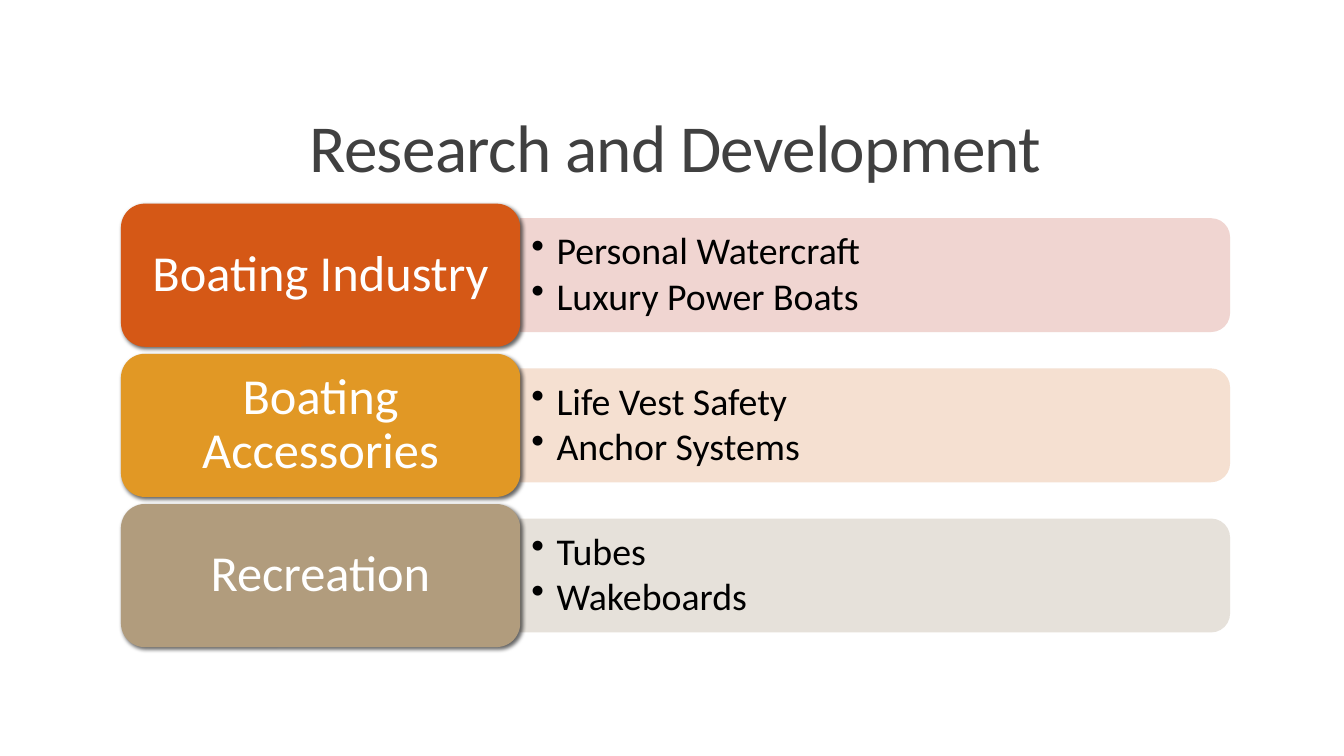
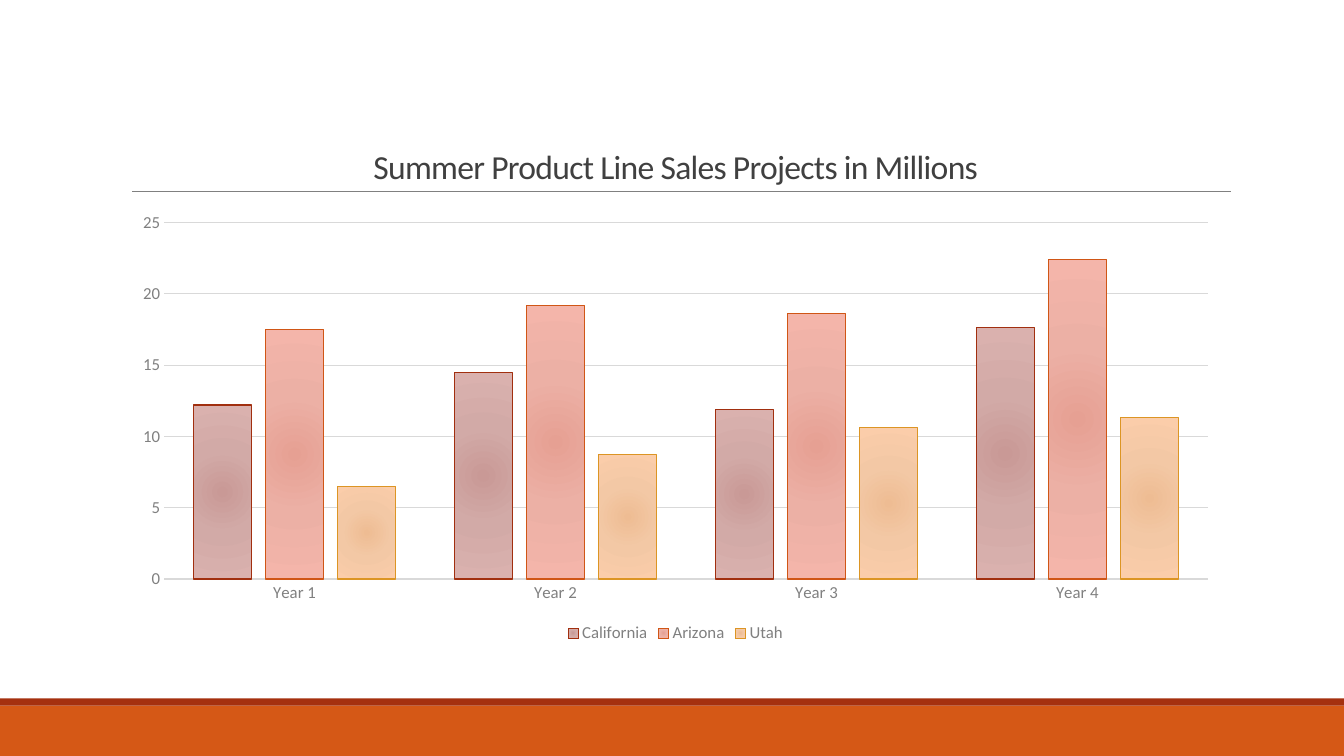
from dataclasses import dataclass

from lxml import etree
from pptx import Presentation
from pptx.chart import data as chart_data
from pptx.dml.color import RGBColor
from pptx.enum import chart as charts, shapes, text
from pptx.oxml import ns, parse_xml
from pptx.util import Inches, Pt

FONT = "Calibri"
ORANGE, RUST, GREY, PALE_GREY = "D55816", "A5300F", "808080", "D9D9D9"
WHITE, BLACK, TITLE_INK = "FFFFFF", "000000", "404040"
LEFT, WIDTH, CONTENT_TOP, CONTENT_HEIGHT = 1.2, 11, 2.02, 4.4
LABEL_WIDTH, LABEL_HEIGHT, ROW_PITCH = 3.96, 1.42, 1.49
BAND_WIDTH, BAND_HEIGHT = 7.04, 1.13


@dataclass(frozen=True)
class Topic:
    label: str
    items: tuple[str, ...]
    color: str
    tint: str


@dataclass(frozen=True)
class Region:
    name: str
    sales: tuple[float, ...]
    stops: tuple[str, str, str]
    outline: str


TOPICS = (
    Topic("Boating Industry", ("Personal Watercraft", "Luxury Power Boats"), ORANGE, "EFD1CC"),
    Topic("Boating Accessories", ("Life Vest Safety", "Anchor Systems"), "E19825", "F4DDCD"),
    Topic("Recreation", ("Tubes", "Wakeboards"), "B19C7D", "E4DED7"),
)
YEARS = ("Year 1", "Year 2", "Year 3", "Year 4")
REGIONS = (
    Region("California", (12.2, 14.5, 11.9, 17.6), ("C99996", "D2AAA7", "DAB1AE"), "A12F0F"),
    Region("Arizona", (17.5, 19.2, 18.6, 22.4), ("E6A093", "ECB0A5", "F4B5AA"), "D05616"),
    Region("Utah", (6.5, 8.7, 10.6, 11.3), ("EEBC93", "F3C8A5", "FBCDAA"), "DC9524"),
)


def rgb(value: str) -> RGBColor:
    return RGBColor.from_string(value)


def style_font(font, size: float, color: str) -> None:
    font.name, font.size = FONT, Pt(size)
    font.color.rgb = rgb(color)


def style_line(line, color: str, width: float) -> None:
    line.color.rgb = rgb(color)
    line.width = Pt(width)


def add_run(paragraph, words: str, size: float, color: str):
    run = paragraph.add_run()
    run.text = words
    style_font(run.font, size, color)
    return run


def set_frame(frame, anchor, inset_x: float, inset_y: float) -> None:
    frame.word_wrap = True
    frame.auto_size = text.MSO_AUTO_SIZE.NONE
    frame.vertical_anchor = anchor
    frame.margin_left = frame.margin_right = Inches(inset_x)
    frame.margin_top = frame.margin_bottom = Inches(inset_y)


def add_block(slide, kind, left: float, top: float, width: float, height: float, color: str):
    block = slide.shapes.add_shape(kind, Inches(left), Inches(top), Inches(width), Inches(height))
    block.shadow.inherit = False
    block.fill.solid()
    block.fill.fore_color.rgb = rgb(color)
    block.line.fill.background()
    return block


def add_titled_slide(deck, words: str, size: float):
    slide = deck.slides.add_slide(deck.slide_layouts[5])
    title = slide.shapes.title
    title.left, title.top = Inches(LEFT), Inches(0.31)
    title.width, title.height = Inches(WIDTH), Inches(1.59)
    set_frame(title.text_frame, text.MSO_ANCHOR.BOTTOM, 0.1, 0.05)
    paragraph = title.text_frame.paragraphs[0]
    paragraph.alignment = text.PP_ALIGN.CENTER
    paragraph.line_spacing = 0.85
    run = add_run(paragraph, words, size, TITLE_INK)
    run.font._element.set("spc", "-50")
    return slide


def add_shadow(shape) -> None:
    effects = shape.element.spPr.find(ns.qn("a:effectLst"))
    effects.append(parse_xml(
        f'<a:outerShdw {ns.nsdecls("a")} blurRad="{Pt(3)}" dist="{Pt(2)}" dir="2700000" '
        f'algn="ctr" rotWithShape="0"><a:srgbClr val="{BLACK}"><a:alpha val="60000"/>'
        '</a:srgbClr></a:outerShdw>'))


def add_bullet(paragraph) -> None:
    properties = paragraph._p.get_or_add_pPr()
    properties.set("marL", str(Inches(0.25)))
    properties.set("indent", str(Inches(-0.25)))
    etree.SubElement(properties, ns.qn("a:buChar")).set("char", "•")


def add_topic(slide, topic: Topic, top: float) -> None:
    band_left = LEFT + LABEL_WIDTH
    middle = top + LABEL_HEIGHT / 2
    band = add_block(slide, shapes.MSO_SHAPE.ROUND_2_SAME_RECTANGLE,
                     band_left + (BAND_WIDTH - BAND_HEIGHT) / 2, middle - BAND_WIDTH / 2,
                     BAND_HEIGHT, BAND_WIDTH, topic.tint)
    band.rotation = 90
    tint = band.element.spPr.find(ns.qn("a:solidFill"))[0]
    etree.SubElement(tint, ns.qn("a:alpha")).set("val", "90000")

    items = slide.shapes.add_textbox(Inches(band_left), Inches(middle - 0.51),
                                     Inches(6.98), Inches(1.02)).text_frame
    set_frame(items, text.MSO_ANCHOR.MIDDLE, 0.11, 0.06)
    for index, item in enumerate(topic.items):
        paragraph = items.add_paragraph() if index else items.paragraphs[0]
        paragraph.line_spacing = 0.9
        paragraph.space_after = Pt(3)
        add_bullet(paragraph)
        add_run(paragraph, item, 27, BLACK)

    label = add_block(slide, shapes.MSO_SHAPE.ROUNDED_RECTANGLE,
                      LEFT, top, LABEL_WIDTH, LABEL_HEIGHT, topic.color)
    add_shadow(label)
    set_frame(label.text_frame, text.MSO_ANCHOR.MIDDLE, 0.22, 0.14)
    paragraph = label.text_frame.paragraphs[0]
    paragraph.alignment = text.PP_ALIGN.CENTER
    paragraph.line_spacing = 0.9
    add_run(paragraph, topic.label, 36, WHITE)


def add_footer_and_rule(slide) -> None:
    for top, height, color in ((7, 0.5, ORANGE), (6.93, 0.07, RUST)):
        add_block(slide, shapes.MSO_SHAPE.RECTANGLE, 0, top, 13.33, height, color)
    rule = slide.shapes.add_connector(shapes.MSO_CONNECTOR.STRAIGHT, Inches(1.31), Inches(1.9),
                                      Inches(12.21), Inches(1.9))
    style_line(rule.line, GREY, 0.5)
    etree.SubElement(rule.element.spPr, ns.qn("a:effectLst"))


def style_series(series, region: Region) -> None:
    series.invert_if_negative = False
    style_line(series.format.line, region.outline, 0.75)
    stops = "".join(f'<a:gs pos="{position}"><a:srgbClr val="{color}"/></a:gs>'
                    for position, color in zip((0, 45000, 100000), region.stops))
    gradient = parse_xml(
        f'<a:gradFill {ns.nsdecls("a")} rotWithShape="1"><a:gsLst>{stops}</a:gsLst>'
        '<a:path path="circle"><a:fillToRect l="100000" t="100000" r="100000" b="100000"/>'
        '</a:path></a:gradFill>')
    series._element.get_or_add_spPr().insert(0, gradient)


def add_sales_chart(slide) -> None:
    sales = chart_data.CategoryChartData()
    sales.categories = YEARS
    for region in REGIONS:
        sales.add_series(region.name, region.sales)
    chart = slide.shapes.add_chart(charts.XL_CHART_TYPE.COLUMN_CLUSTERED, Inches(LEFT),
                                   Inches(CONTENT_TOP), Inches(WIDTH), Inches(CONTENT_HEIGHT),
                                   sales).chart
    style_font(chart.font, 10, BLACK)
    chart.has_title = False
    chart.has_legend = True
    chart.legend.position = charts.XL_LEGEND_POSITION.BOTTOM
    chart.legend.include_in_layout = False
    style_font(chart.legend.font, 12, GREY)

    years, millions = chart.category_axis, chart.value_axis
    for axis in (years, millions):
        axis.major_tick_mark = axis.minor_tick_mark = charts.XL_TICK_MARK.NONE
        style_font(axis.tick_labels.font, 12, GREY)
    style_line(years.format.line, PALE_GREY, 0.75)
    millions.format.line.fill.background()
    millions.minimum_scale, millions.maximum_scale, millions.major_unit = 0, 25, 5
    style_line(millions.major_gridlines.format.line, PALE_GREY, 0.75)

    columns = chart.plots[0]
    columns.vary_by_categories = False
    columns.gap_width, columns.overlap = 100, -24
    for series, region in zip(columns.series, REGIONS):
        style_series(series, region)


def main() -> None:
    deck = Presentation()
    deck.slide_width, deck.slide_height = Inches(13.33), Inches(7.5)

    research = add_titled_slide(deck, "Research and Development", 48)
    for row, topic in enumerate(TOPICS):
        add_topic(research, topic, CONTENT_TOP + row * ROW_PITCH)

    projections = add_titled_slide(deck, "Summer Product Line Sales Projects in Millions", 24)
    add_footer_and_rule(projections)
    add_sales_chart(projections)

    deck.save("out.pptx")


if __name__ == "__main__":
    main()
